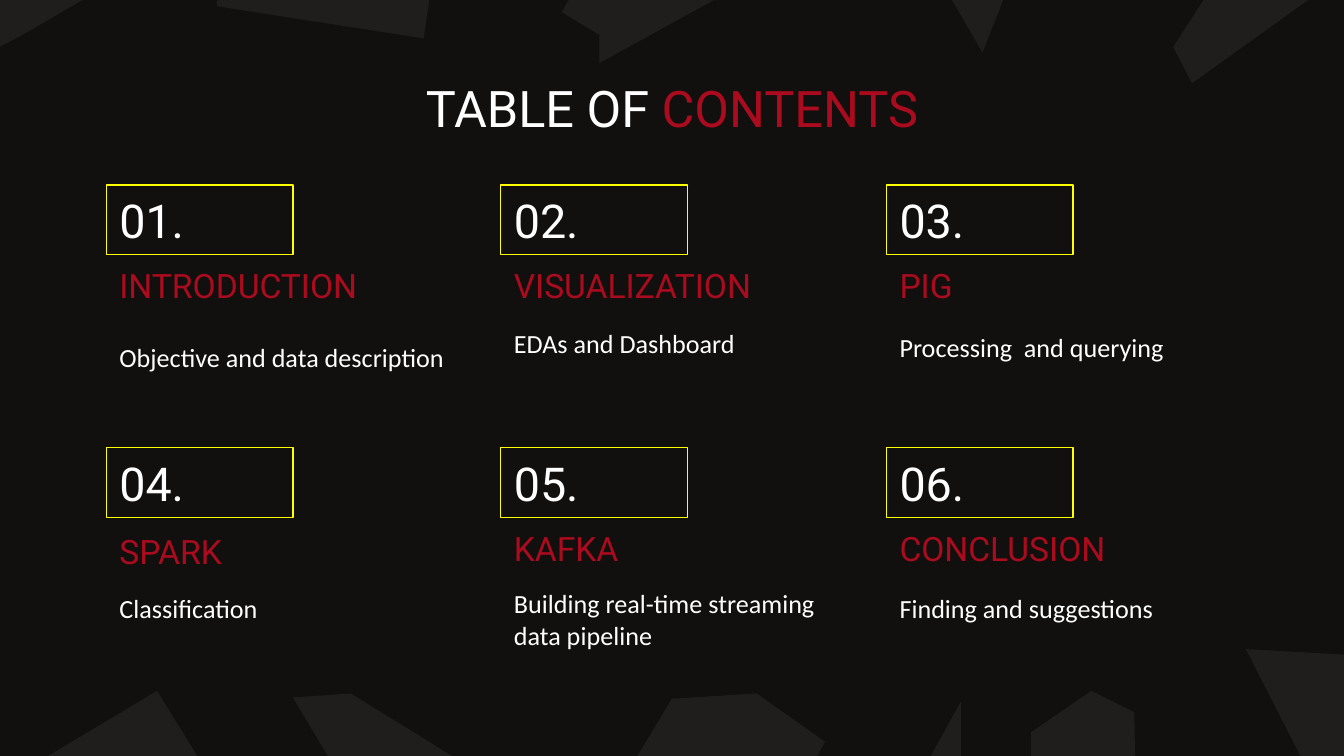
from dataclasses import dataclass

import pptx
import pptx.dml.color
import pptx.enum.shapes
import pptx.enum.text
import pptx.util

EMU_PER_PX = 4572
SLIDE_WIDTH, SLIDE_HEIGHT = 2000, 1125


@dataclass(frozen=True)
class Theme:
    background: str = "12100E"
    shard: str = "201E1D"
    accent: str = "AA0B1E"
    light: str = "FFFFFF"
    frame: str = "FFFF00"
    heading_font: str = "Roboto"
    body_font: str = "Calibri"
    title_size: int = 27
    number_size: int = 25
    topic_size: int = 18
    detail_size: int = 14
    frame_width: float = 0.75


@dataclass(frozen=True)
class Box:
    left: int
    top: int
    width: int
    height: int


@dataclass(frozen=True)
class Shard:
    points: tuple[tuple[int, int], ...]
    rotation: float = 0


@dataclass(frozen=True)
class Section:
    topic: str
    detail: str
    detail_offset: int
    topic_offset: int = 104


THEME = Theme()
COLUMNS = (158, 745, 1319)
ROWS = (275, 666)

SHARDS = (
    Shard(((1854, 966), (1946, 1146), (1922, 1200), (2066, 1200), (2066, 978))),
    Shard(((1624, 1028), (1534, 1090), (1534, 1324), (1692, 1324), (1688, 1060))),
    Shard(((1430, 1044), (1300, 1278), (1430, 1278))),
    Shard(((1126, 1032), (1000, 1040), (876, 1246), (928, 1338), (1098, 1338), (1228, 1104))),
    Shard(((522, 1032), (436, 1038), (614, 1336), (794, 1336), (804, 1206))),
    Shard(((234, 1028), (-44, 1194), (-104, 1184), (-104, 1324), (416, 1324))),
    Shard(((-28, -34), (-40, 80), (-28, 84), (30, 54), (154, -18), (160, -34))),
    Shard(((342, -80), (336, -64), (604, 94), (706, -80)), rotation=338.3),
    Shard(((940, -158), (836, 18), (892, 52), (892, 94), (1128, -36), (1130, -158))),
    Shard(((1356, -104), (1462, 78), (1534, -104))),
    Shard(((1818, -42), (1746, 70), (1774, 124), (1958, -8), (1958, -42))),
)

SECTIONS = (
    Section("INTRODUCTION", "Objective and data description", 197),
    Section("VISUALIZATION", "EDAs and Dashboard", 177),
    Section("PIG", "Processing  and querying", 182),
    Section("SPARK", "Classification", 180, topic_offset=108),
    Section("KAFKA", "Building real-time streaming data pipeline", 196),
    Section("CONCLUSION", "Finding and suggestions", 180),
)


def px(length: int) -> pptx.util.Emu:
    return pptx.util.Emu(length * EMU_PER_PX)


def rgb(color: str) -> pptx.dml.color.RGBColor:
    return pptx.dml.color.RGBColor.from_string(color)


def add_text(slide, box: Box, *runs: tuple[str, str], size: int, font: str,
             centered: bool = False, framed: bool = False) -> None:
    place = [px(side) for side in (box.left, box.top, box.width, box.height)]
    if framed:
        holder = slide.shapes.add_shape(pptx.enum.shapes.MSO_SHAPE.RECTANGLE, *place)
        holder.shadow.inherit = False
        holder.fill.background()
        holder.line.color.rgb = rgb(THEME.frame)
        holder.line.width = pptx.util.Pt(THEME.frame_width)
    else:
        holder = slide.shapes.add_textbox(*place)
    frame = holder.text_frame
    frame.word_wrap = True
    frame.vertical_anchor = pptx.enum.text.MSO_ANCHOR.MIDDLE
    frame.margin_left = frame.margin_right = px(20)
    frame.margin_top = frame.margin_bottom = px(20)
    paragraph = frame.paragraphs[0]
    align = pptx.enum.text.PP_ALIGN
    paragraph.alignment = align.CENTER if centered else align.LEFT
    for words, color in runs:
        run = paragraph.add_run()
        run.text = words
        run.font.name = font
        run.font.size = pptx.util.Pt(size)
        run.font.color.rgb = rgb(color)


def add_shard(slide, shard: Shard) -> None:
    start, *rest = shard.points
    builder = slide.shapes.build_freeform(*start, scale=EMU_PER_PX)
    builder.add_line_segments(rest, close=True)
    outline = builder.convert_to_shape()
    outline.rotation = shard.rotation
    outline.shadow.inherit = False
    outline.fill.solid()
    outline.fill.fore_color.rgb = rgb(THEME.shard)
    outline.line.fill.background()


def add_section(slide, index: int, section: Section) -> None:
    row, column = divmod(index, len(COLUMNS))
    left, top = COLUMNS[column], ROWS[row]
    add_text(slide, Box(left, top, 278, 104), (f"{index + 1:02}.", THEME.light),
             size=THEME.number_size, font=THEME.heading_font, framed=True)
    add_text(slide, Box(left, top + section.topic_offset, 526, 92),
             (section.topic, THEME.accent),
             size=THEME.topic_size, font=THEME.heading_font)
    add_text(slide, Box(left, top + section.detail_offset, 526, 118),
             (section.detail, THEME.light),
             size=THEME.detail_size, font=THEME.body_font)


def main() -> None:
    deck = pptx.Presentation()
    deck.slide_width, deck.slide_height = px(SLIDE_WIDTH), px(SLIDE_HEIGHT)
    slide = deck.slides.add_slide(deck.slide_layouts[6])
    slide.background.fill.solid()
    slide.background.fill.fore_color.rgb = rgb(THEME.background)
    for shard in SHARDS:
        add_shard(slide, shard)
    add_text(slide, Box(157, 97, 1686, 126),
             ("TABLE OF ", THEME.light), ("CONTENTS", THEME.accent),
             size=THEME.title_size, font=THEME.heading_font, centered=True)
    for index, section in enumerate(SECTIONS):
        add_section(slide, index, section)
    deck.save("out.pptx")


if __name__ == "__main__":
    main()
